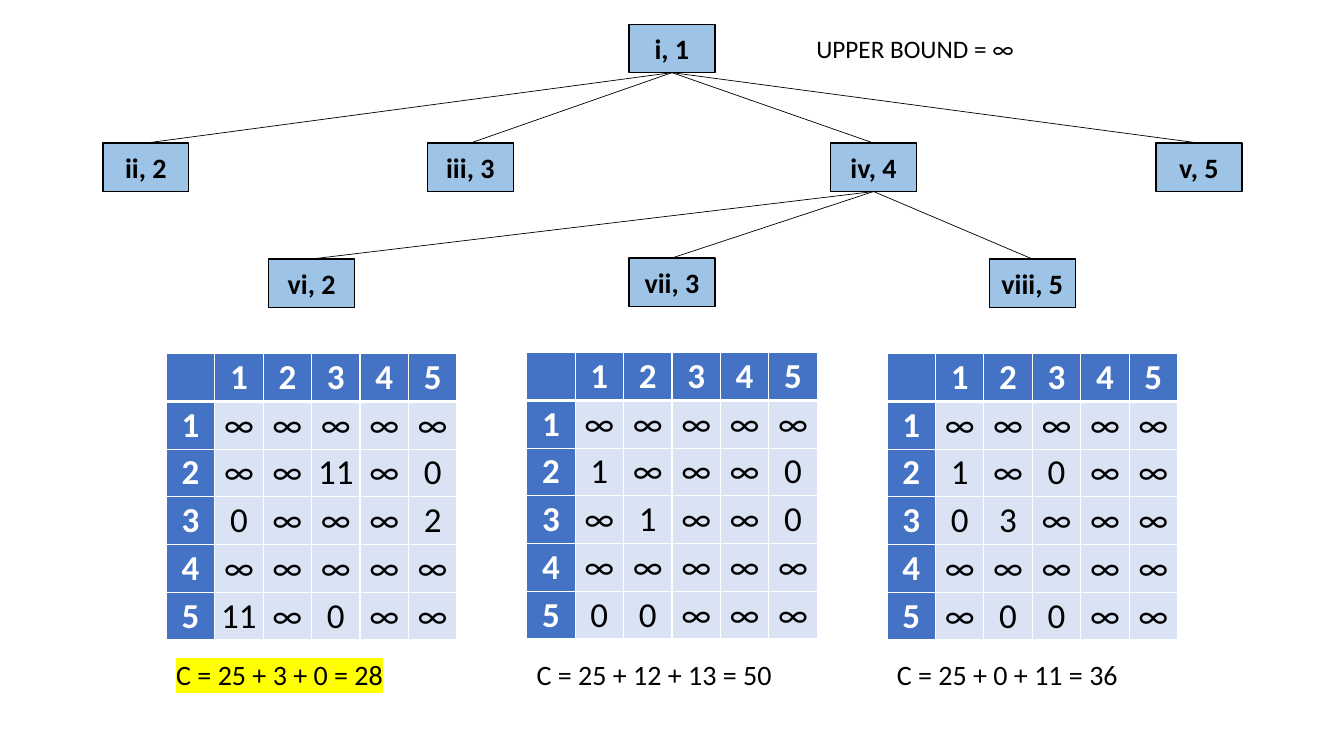
"""Build a branch-and-bound search tree slide with reduced cost matrices."""
from lxml import etree
from pptx import Presentation
from pptx.dml.color import RGBColor
from pptx.enum import shapes, text
from pptx.oxml.ns import qn
from pptx.util import Pt

BLACK = RGBColor(0x00, 0x00, 0x00)
WHITE = RGBColor(0xFF, 0xFF, 0xFF)
NODE_BLUE = RGBColor(0x9D, 0xC3, 0xE6)
HEADER_BLUE = RGBColor(0x44, 0x72, 0xC4)
CELL_BLUE = RGBColor(0xDA, 0xE3, 0xF3)
YELLOW = RGBColor(0xFF, 0xFF, 0x00)

NODE_W, NODE_H = 61.4, 34.6
COL_W, ROW_H = 34.6, 34.1
TABLE_W = 6 * COL_W
ROOT_X, LEAF_GAP = 480, 257.4
ROOT_TOP, CHILD_TOP, LEAF_TOP = 17.3, 102.2, 185
TABLE_TOP, COST_TOP = 252.7, 465.8

CHILDREN = [("ii, 2", 104.2), ("iii, 3", 336), ("iv, 4", 624), ("v, 5", 856.4)]
LEAVES = [
    ("vi, 2", -1, 0, "C = 25 + 3 + 0 = 28", YELLOW,
     ["∞ ∞ ∞ ∞ ∞", "∞ ∞ 11 ∞ 0", "0 ∞ ∞ ∞ 2", "∞ ∞ ∞ ∞ ∞", "11 ∞ 0 ∞ ∞"]),
    ("vii, 3", 0, -0.7, "C = 25 + 12 + 13 = 50", None,
     ["∞ ∞ ∞ ∞ ∞", "1 ∞ ∞ ∞ 0", "∞ 1 ∞ ∞ 0", "∞ ∞ ∞ ∞ ∞", "0 0 ∞ ∞ ∞"]),
    ("viii, 5", 1, 0, "C = 25 + 0 + 11 = 36", None,
     ["∞ ∞ ∞ ∞ ∞", "1 ∞ 0 ∞ ∞", "0 3 ∞ ∞ ∞", "∞ ∞ ∞ ∞ ∞", "∞ 0 0 ∞ ∞"]),
]


def format_runs(p, size, color=BLACK, bold=False):
    for r in p.runs:
        r.font.name = "Calibri"
        r.font.size = Pt(size)
        r.font.bold = bold
        r.font.color.rgb = color


def add_node(s, label, center, top):
    sp = s.shapes.add_shape(shapes.MSO_SHAPE.RECTANGLE, Pt(center - NODE_W / 2),
                            Pt(top), Pt(NODE_W), Pt(NODE_H))
    sp.shadow.inherit = False
    sp.fill.solid()
    sp.fill.fore_color.rgb = NODE_BLUE
    sp.line.color.rgb = BLACK
    sp.line.width = Pt(1)
    tf = sp.text_frame
    tf.text = label
    tf.vertical_anchor = text.MSO_ANCHOR.MIDDLE
    p = tf.paragraphs[0]
    p.alignment = text.PP_ALIGN.CENTER
    format_runs(p, 20, bold=True)
    return sp


def add_branch(s, parent, child):
    cn = s.shapes.add_connector(shapes.MSO_CONNECTOR.STRAIGHT, 0, 0, 0, 0)
    cn.begin_connect(parent, 2)
    cn.end_connect(child, 0)
    cn.line.color.rgb = BLACK
    cn.line.width = Pt(0.5)
    etree.SubElement(cn._element.spPr, qn("a:effectLst"))


def add_text(s, content, left, top, width, height, size, highlight=None):
    tb = s.shapes.add_textbox(Pt(left), Pt(top), Pt(width), Pt(height))
    tf = tb.text_frame
    tf.word_wrap = True
    tf.auto_size = text.MSO_AUTO_SIZE.SHAPE_TO_FIT_TEXT
    tf.text = content
    p = tf.paragraphs[0]
    format_runs(p, size)
    if highlight is not None:
        mark = etree.Element(qn("a:highlight"))
        etree.SubElement(mark, qn("a:srgbClr"), val=str(highlight))
        p.runs[0].font._element.find(qn("a:latin")).addprevious(mark)


def set_borders(cell, row):
    widths = {"L": 1, "R": 1, "T": 3 if row == 1 else 1, "B": 3 if row == 0 else 1}
    tc_pr = cell._tc.get_or_add_tcPr()
    for side, width in widths.items():
        ln = etree.SubElement(tc_pr, qn(f"a:ln{side}"), w=str(Pt(width)))
        fill = etree.SubElement(ln, qn("a:solidFill"))
        etree.SubElement(fill, qn("a:srgbClr"), val=str(WHITE))


def format_cell(cell, content, row, header):
    set_borders(cell, row)
    cell.fill.solid()
    cell.fill.fore_color.rgb = HEADER_BLUE if header else CELL_BLUE
    cell.margin_left = cell.margin_right = cell.margin_top = cell.margin_bottom = 0
    cell.vertical_anchor = text.MSO_ANCHOR.MIDDLE
    p = cell.text_frame.paragraphs[0]
    p.alignment = text.PP_ALIGN.CENTER
    if content:
        p.text = content
        format_runs(p, 25, WHITE if header else BLACK, header)


def add_matrix(s, rows, left, top):
    grid = [["", *"12345"]]
    grid += [[str(n), *row.split()] for n, row in enumerate(rows, 1)]
    table = s.shapes.add_table(6, 6, Pt(left), Pt(top), Pt(TABLE_W),
                               Pt(6 * ROW_H)).table
    for col in table.columns:
        col.width = Pt(COL_W)
    for i, values in enumerate(grid):
        table.rows[i].height = Pt(ROW_H)
        for j, value in enumerate(values):
            format_cell(table.cell(i, j), value, i, i == 0 or j == 0)


def main():
    prs = Presentation()
    prs.slide_width, prs.slide_height = Pt(960), Pt(540)
    s = prs.slides.add_slide(prs.slide_layouts[6])

    root = add_node(s, "i, 1", ROOT_X, ROOT_TOP)
    children = {}
    for label, center in CHILDREN:
        children[label] = add_node(s, label, center, CHILD_TOP)
        add_branch(s, root, children[label])

    for label, step, shift, cost, highlight, rows in LEAVES:
        center = ROOT_X + step * LEAF_GAP
        left = center - TABLE_W / 2
        leaf = add_node(s, label, center, LEAF_TOP + shift)
        add_branch(s, children["iv, 4"], leaf)
        add_matrix(s, rows, left, TABLE_TOP + shift)
        add_text(s, cost, left, COST_TOP, TABLE_W, 31.5, 20, highlight)

    add_text(s, "UPPER BOUND = ∞", 576, 20.2, 157.7, 29, 18)
    prs.save("out.pptx")


if __name__ == "__main__":
    main()
